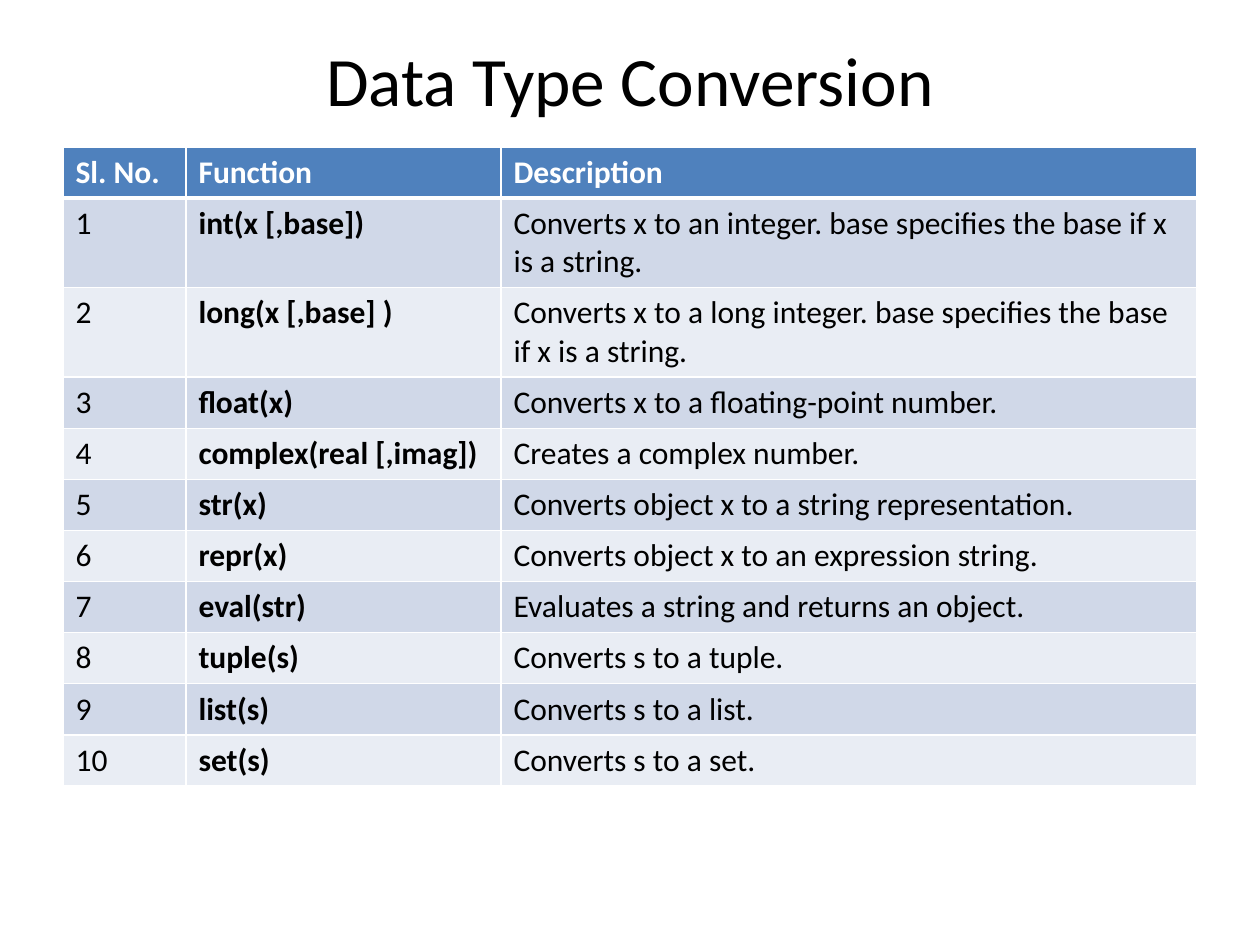
from lxml.etree import SubElement
from pptx import Presentation
from pptx.dml.color import RGBColor
from pptx.enum.text import MSO_ANCHOR, MSO_AUTO_SIZE, PP_ALIGN
from pptx.oxml.ns import qn
from pptx.util import Pt

SLIDE_W, SLIDE_H = 1260, 945
EMU_PER_PX = 914400 / 126
FONT = "Calibri"
BLACK, WHITE = "000000", "FFFFFF"
HEADER_FILL = "4F81BD"
BAND_FILLS = ["D0D8E8", "E9EDF4"]
COLUMN_WIDTHS = [123, 315, 696]
ROW_HEIGHT = 51

HEADINGS = ("Sl. No.", "Function", "Description")
CONVERSIONS = [
    ("int(x [,base])",
     "Converts x to an integer. base specifies the base if x is a string."),
    ("long(x [,base] )",
     "Converts x to a long integer. base specifies the base if x is a string."),
    ("float(x)", "Converts x to a floating-point number."),
    ("complex(real [,imag])", "Creates a complex number."),
    ("str(x)", "Converts object x to a string representation."),
    ("repr(x)", "Converts object x to an expression string."),
    ("eval(str)", "Evaluates a string and returns an object."),
    ("tuple(s)", "Converts s to a tuple."),
    ("list(s)", "Converts s to a list."),
    ("set(s)", "Converts s to a set."),
]


def px(length):
    return round(length * EMU_PER_PX)


def rgb(color):
    return RGBColor.from_string(color)


def write(frame, text, size=18, color=BLACK, bold=False, align=PP_ALIGN.LEFT):
    paragraph = frame.paragraphs[0]
    paragraph.alignment = align
    run = paragraph.add_run()
    run.text = text
    run.font.name = FONT
    run.font.size = Pt(size)
    run.font.bold = bold
    run.font.color.rgb = rgb(color)


def set_borders(cell, top=1, bottom=1):
    """Draw white cell borders with the given widths in points."""
    properties = cell._tc.get_or_add_tcPr()
    for side, width in (("L", 1), ("R", 1), ("T", top), ("B", bottom)):
        line = SubElement(properties, qn(f"a:ln{side}"), w=str(Pt(width)))
        fill = SubElement(line, qn("a:solidFill"))
        SubElement(fill, qn("a:srgbClr"), val=WHITE)


def place_title(slide, left, top, width, height):
    title = slide.shapes.title
    title.left, title.top = px(left), px(top)
    title.width, title.height = px(width), px(height)
    frame = title.text_frame
    frame.auto_size = MSO_AUTO_SIZE.NONE
    frame.vertical_anchor = MSO_ANCHOR.MIDDLE
    write(frame, "Data Type Conversion", size=39.6, align=PP_ALIGN.CENTER)


def add_conversion_table(slide, left, top):
    rows = [HEADINGS] + [
        (str(number), function, description)
        for number, (function, description) in enumerate(CONVERSIONS, 1)
    ]
    table = slide.shapes.add_table(
        len(rows), len(HEADINGS), px(left), px(top),
        px(sum(COLUMN_WIDTHS)), px(ROW_HEIGHT * len(rows))).table
    for column, width in zip(table.columns, COLUMN_WIDTHS):
        column.width = px(width)
    for r, texts in enumerate(rows):
        table.rows[r].height = px(ROW_HEIGHT)
        is_header = r == 0
        for c, text in enumerate(texts):
            cell = table.cell(r, c)
            set_borders(cell, top=3 if r == 1 else 1, bottom=3 if is_header else 1)
            cell.fill.solid()
            cell.fill.fore_color.rgb = rgb(
                HEADER_FILL if is_header else BAND_FILLS[(r - 1) % 2])
            write(cell.text_frame, text, color=WHITE if is_header else BLACK,
                  bold=is_header or c == 1)


def main():
    deck = Presentation()
    deck.slide_width, deck.slide_height = px(SLIDE_W), px(SLIDE_H)
    slide = deck.slides.add_slide(deck.slide_layouts[5])
    place_title(slide, 63, 38, 1134, 81)
    add_conversion_table(slide, 63, 147)
    deck.save("out.pptx")


if __name__ == "__main__":
    main()
